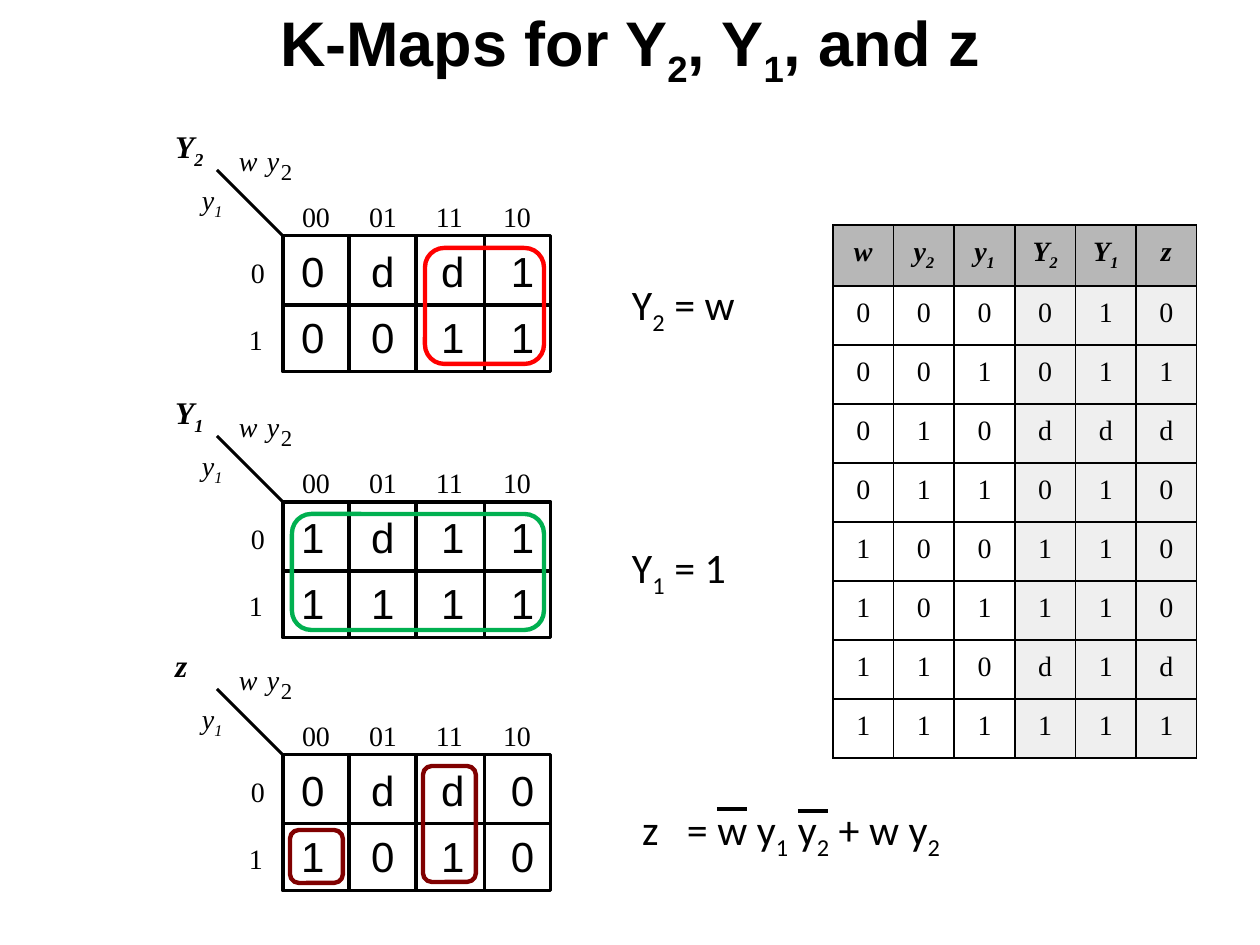
from lxml.etree import SubElement
from pptx import Presentation
from pptx.dml.color import RGBColor
from pptx.enum.shapes import MSO_CONNECTOR as Connector, MSO_SHAPE as Shape
from pptx.enum.text import MSO_ANCHOR as Anchor, PP_ALIGN as Align
from pptx.oxml.ns import qn
from pptx.util import Pt

EMU_PER_PX = 914400 / 126
BLACK, GREY, PALE = "000000", "B7B7B7", "EFEFEF"
RED, GREEN, MAROON = "FF0000", "00B050", "800000"
LABEL = {"name": "Times New Roman", "size": Pt(16), "bold": False, "italic": False}
VARIABLE = LABEL | {"italic": True}
HEADER = VARIABLE | {"bold": True}
MAP_NAME = HEADER | {"size": Pt(18)}
SMALL = LABEL | {"size": Pt(13)}
VALUE = {"name": "Arial", "size": Pt(24)}
EQUATION = {"name": "Calibri", "size": Pt(24)}
TITLE = {"name": "Arial", "size": Pt(36), "bold": True}

MAP_LEFT = 283
MAP_LABELS = [
    ("y_1", 202, -53, VARIABLE), ("w", 239, -92, VARIABLE), ("y", 267, -92, VARIABLE),
    ("2", 281, -78, SMALL), ("0", 251, 20, LABEL), ("1", 249, 87, LABEL),
]
MAPS = [
    ("Y_2", 236, ["0dd1", "0011"]),
    ("Y_1", 502, ["1d11", "1111"]),
    ("z", 755, ["0dd0", "1010"]),
]
LOOPS = [
    (292, 514, 252, 116, GREEN), (423, 766, 53, 116, MAROON),
    (290, 830, 53, 53, MAROON), (425, 248, 119, 116, RED),
]
TRUTH_TABLE = [
    ["w", "y_2", "y_1", "Y_2", "Y_1", "z"],
    *("000010", "001011", "010ddd", "011010", "100110", "101110", "110d1d", "111111"),
]


def px(length):
    """Turn pixels into EMU."""
    return round(length * EMU_PER_PX)


def color(value):
    """Turn a hex string into a colour."""
    return RGBColor.from_string(value)


class SlideBuilder:
    """Hold the style and the slide, and draw each kind of element."""

    def __init__(self, slide, ink=BLACK, line_width=1.75):
        """Keep the slide and its default ink and line width."""
        self.slide = slide
        self.shapes = slide.shapes
        self.ink = ink
        self.line_width = line_width

    def add_runs(self, paragraph, text, style):
        """Add text in which an underscore lowers the next character."""
        first, *rest = text.split("_")
        pieces = [(first, False)]
        for part in rest:
            pieces += [(part[:1], True), (part[1:], False)]
        for piece, lowered in pieces:
            if not piece:
                continue
            run = paragraph.add_run()
            run.text = piece
            for key, value in style.items():
                setattr(run.font, key, value)
            run.font.color.rgb = color(self.ink)
            if lowered:
                run._r.get_or_add_rPr().set("baseline", "-25000")

    def title(self, text, left, top, width, height):
        """Fill and place the title placeholder."""
        shape = self.slide.shapes.title
        shape.left, shape.top, shape.width, shape.height = map(px, (left, top, width, height))
        shape.text_frame.vertical_anchor = Anchor.MIDDLE
        paragraph = shape.text_frame.paragraphs[0]
        paragraph.alignment = Align.CENTER
        self.add_runs(paragraph, text, TITLE)

    def text(self, lines, left, top, width, height, style, inset=(0, 0), tabs=(), gap=0):
        """Add a text box with one paragraph per line."""
        shape = self.shapes.add_textbox(*map(px, (left, top, width, height)))
        frame = shape.text_frame
        frame.word_wrap = True
        frame.margin_left = frame.margin_right = px(inset[0])
        frame.margin_top = frame.margin_bottom = px(inset[1])
        for index, line in enumerate(lines):
            paragraph = frame.add_paragraph() if index else frame.paragraphs[0]
            if index:
                paragraph.space_before = Pt(gap)
            if tabs:
                tab_list = SubElement(paragraph._p.get_or_add_pPr(), qn("a:tabLst"))
                for stop in tabs:
                    SubElement(tab_list, qn("a:tab"), pos=str(px(stop)), algn="l")
            self.add_runs(paragraph, line, style)

    def outline(self, kind, left, top, width, height, ink, line_width):
        """Add an unfilled shape."""
        shape = self.shapes.add_shape(kind, *map(px, (left, top, width, height)))
        shape.shadow.inherit = False
        shape.fill.background()
        shape.line.color.rgb = color(ink)
        shape.line.width = Pt(line_width)

    def line(self, x1, y1, x2, y2, line_width=None):
        """Add a straight line."""
        connector = self.shapes.add_connector(Connector.STRAIGHT, *map(px, (x1, y1, x2, y2)))
        connector.line.color.rgb = color(self.ink)
        connector.line.width = Pt(line_width or self.line_width)
        SubElement(connector._element.spPr, qn("a:effectLst"))

    def table(self, rows, left, top, width, height, header_height):
        """Add the truth table with thin borders."""
        table = self.shapes.add_table(
            len(rows), len(rows[0]), *map(px, (left, top, width, height))).table
        table.rows[0].height = px(header_height)
        for row, values in enumerate(rows):
            for column, value in enumerate(values):
                fill = GREY if row == 0 else PALE if column > 2 else None
                self.cell(table.cell(row, column), value, LABEL if row else HEADER, fill)

    def cell(self, cell, value, style, fill):
        """Format one table cell."""
        for side in ("left", "right", "top", "bottom"):
            setattr(cell, f"margin_{side}", px(12))
            border = SubElement(cell._tc.get_or_add_tcPr(), qn(f"a:ln{side[0].upper()}"), w=str(Pt(1)))
            SubElement(SubElement(border, qn("a:solidFill")), qn("a:srgbClr"), val=self.ink)
        if fill:
            cell.fill.solid()
            cell.fill.fore_color.rgb = color(fill)
        else:
            cell.fill.background()
        paragraph = cell.text_frame.paragraphs[0]
        paragraph.alignment = Align.CENTER
        self.add_runs(paragraph, value, style)

    def karnaugh_map(self, name, top, rows):
        """Add one grouped map with its labels and values."""
        self.shapes = self.slide.shapes.add_group_shape().shapes
        for left, width, middle in ((MAP_LEFT, 133, 349), (MAP_LEFT + 133, 135, 485)):
            self.outline(Shape.RECTANGLE, left, top, width, 136, self.ink, self.line_width)
            self.line(left, top + 69, left + width, top + 69)
            self.line(middle, top, middle, top + 136)
        self.line(MAP_LEFT - 66, top - 66, MAP_LEFT, top)
        for text, left, offset, style in MAP_LABELS:
            self.text([text], left, top + offset, 25, 34, style)
        for index, text in enumerate(("00", "01", "11", "10")):
            self.text([text], 302 + 67 * index, top - 36, 46, 34, LABEL)
        self.text([name], 175, top - 109, 42, 43, MAP_NAME)
        self.text(["\t".join(row) for row in rows], 289, top + 3, 261, 131, VALUE,
                  (12, 6), (70, 140, 210), 9)
        self.shapes = self.slide.shapes


def main():
    """Build and save the slide."""
    presentation = Presentation()
    presentation.slide_width, presentation.slide_height = px(1260), px(945)
    builder = SlideBuilder(presentation.slides.add_slide(presentation.slide_layouts[5]))
    builder.table(TRUTH_TABLE, 833, 225, 364, 531, 61)
    builder.title("K-Maps for Y_2, Y_1, and z", 0, 0, 1260, 94)
    for name, top, rows in MAPS:
        builder.karnaugh_map(name, top, rows)
    for left, top, width, height, ink in LOOPS:
        builder.outline(Shape.ROUNDED_RECTANGLE, left, top, width, height, ink, 2.5)
    for text, left, top, width in (
            ("Y_2 = w", 620, 273, 131), ("Y_1 = 1", 620, 536, 131),
            ("z\t= w y_1 y_2 + w y_2", 630, 798, 331)):
        builder.text([text], left, top, width, 64, EQUATION, (12, 6), (45,))
    for left, top in ((717, 809), (798, 811)):
        builder.line(left, top, left + 30, top, 2.25)
    presentation.save("out.pptx")


if __name__ == "__main__":
    main()
